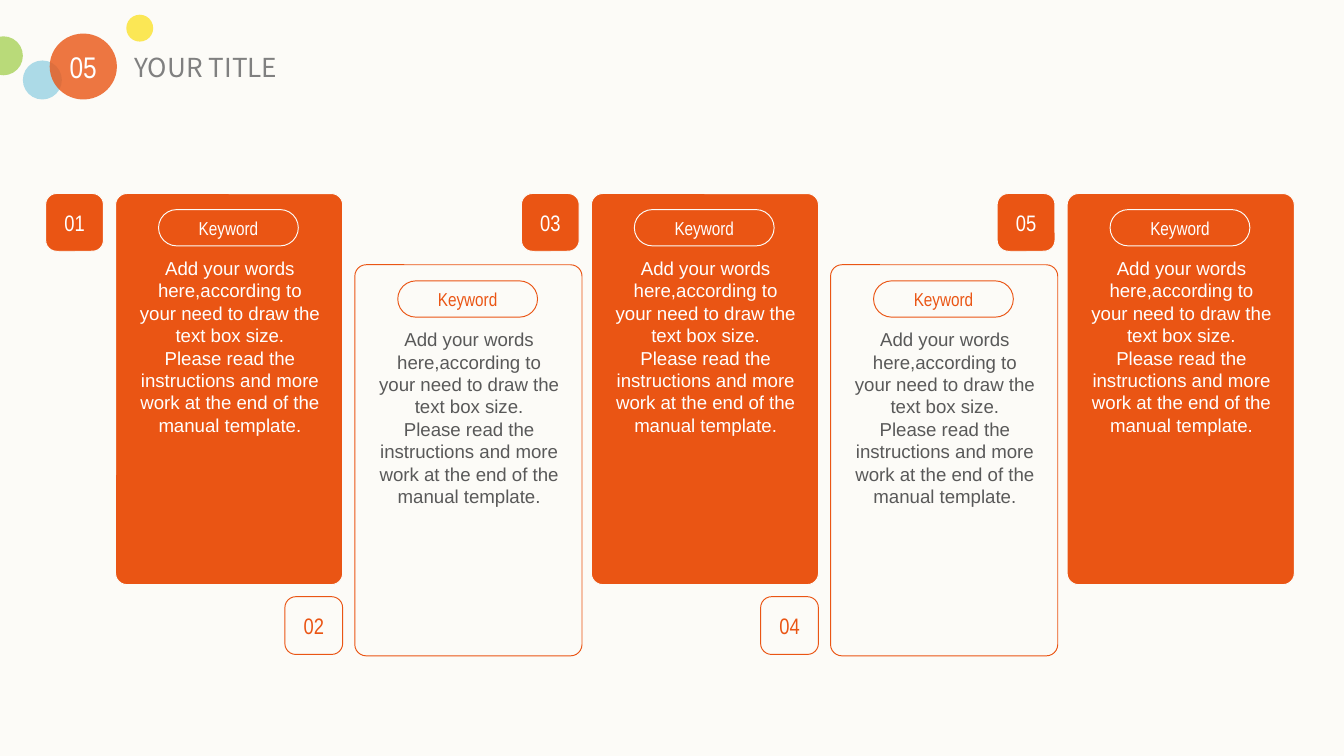
from lxml import etree
from pptx import Presentation
from pptx.dml.color import RGBColor
from pptx.enum.shapes import MSO_SHAPE as SHAPE
from pptx.enum.text import MSO_ANCHOR as ANCHOR, MSO_AUTO_SIZE as AUTO_SIZE, PP_ALIGN as ALIGN
from pptx.oxml.ns import qn
from pptx.util import Inches, Pt

COLORS = {
    "orange": "EA5514", "cream": "FCFBF7", "white": "FFFFFF", "body": "595959",
    "title": "808080", "yellow": "FBE22D", "green": "A9D25A", "blue": "98D2E3",
}
BODY = [
    "Add your words here,according to your need to draw the text box size.",
    "Please read the instructions and more work at the end of the manual template.",
]


def rgb(name):
    return RGBColor.from_string(COLORS[name])


def write(shape, lines, size, font, color, align=ALIGN.CENTER, anchor=ANCHOR.TOP, inset=0):
    frame = shape.text_frame
    frame.text = "\n".join(lines)
    frame.word_wrap = True
    frame.auto_size = AUTO_SIZE.NONE
    frame.vertical_anchor = anchor
    frame.margin_left = frame.margin_right = Inches(inset)
    frame.margin_top = frame.margin_bottom = Inches(inset / 2)
    for paragraph in frame.paragraphs:
        paragraph.alignment = align
        paragraph.font.size = Pt(size)
        paragraph.font.name = font
        paragraph.font.color.rgb = rgb(color)


prs = Presentation()
prs.slide_width, prs.slide_height = Inches(10), Inches(10 * 9 / 16)
slide = prs.slides.add_slide(prs.slide_layouts[5])
slide.background.fill.solid()
slide.background.fill.fore_color.rgb = rgb("cream")
shapes = slide.shapes

title = shapes.title
title.left, title.top, title.width, title.height = map(Inches, (1, 0.38, 3.04, 0.24))
write(title, ["YOUR TITLE"], 14, "Noto Sans CJK SC", "title", ALIGN.LEFT)

for i in range(5):
    lowered = i % 2 == 1
    left = 0.86 + 1.77 * i + 0.01 * lowered
    top = 1.97 if lowered else 1.44
    badge_top = 4.44 if lowered else 1.44
    fill, line = ("cream", "orange") if lowered else ("orange", "cream")
    label_color, body_color = ("orange", "body") if lowered else ("white", "white")

    parts = [
        (left, top, 1.69, 2.91, 0.05, None, 0),
        (left + 0.32, top + 0.12, 1.04, 0.27, 0.5, "Keyword", 10),
        (left - 0.52, badge_top, 0.43, 0.43, 0.19, f"{i + 1:02d}", 12),
    ]
    for j, (x, y, width, height, rounding, label, size) in enumerate(parts):
        if j == 1:
            body = shapes.add_textbox(*map(Inches, (left + 0.18, top + 0.47, 1.34, 1.35)))
            write(body, BODY, 10, "Arial", body_color)
        panel = shapes.add_shape(SHAPE.ROUNDED_RECTANGLE, *map(Inches, (x, y, width, height)))
        panel.adjustments[0] = rounding
        panel.shadow.inherit = False
        panel.fill.solid()
        panel.fill.fore_color.rgb = rgb(fill)
        panel.line.color.rgb = rgb(line)
        panel.line.width = Pt(0.5)
        if label:
            write(panel, [label], size, "Arial Narrow", label_color,
                  anchor=ANCHOR.MIDDLE, inset=0.1)

bubbles = [
    (0.94, 0.11, 0.2, 0.2, "yellow"),
    (-0.12, 0.27, 0.29, 0.29, "green"),
    (0.17, 0.45, 0.29, 0.29, "blue"),
    (0.37, 0.25, 0.5, 0.49, "orange"),
]
for x, y, width, height, color in bubbles:
    bubble = shapes.add_shape(SHAPE.OVAL, *map(Inches, (x, y, width, height)))
    bubble.shadow.inherit = False
    bubble.line.fill.background()
    bubble.fill.solid()
    bubble.fill.fore_color.rgb = rgb(color)
    tint = bubble.element.spPr.find(qn("a:solidFill"))[0]
    etree.SubElement(tint, qn("a:alpha"), val="80000")

section_number = shapes.add_textbox(*map(Inches, (0.44, 0.36, 0.36, 0.27)))
write(section_number, ["05"], 16, "Arial Narrow", "white")

prs.save("out.pptx")
